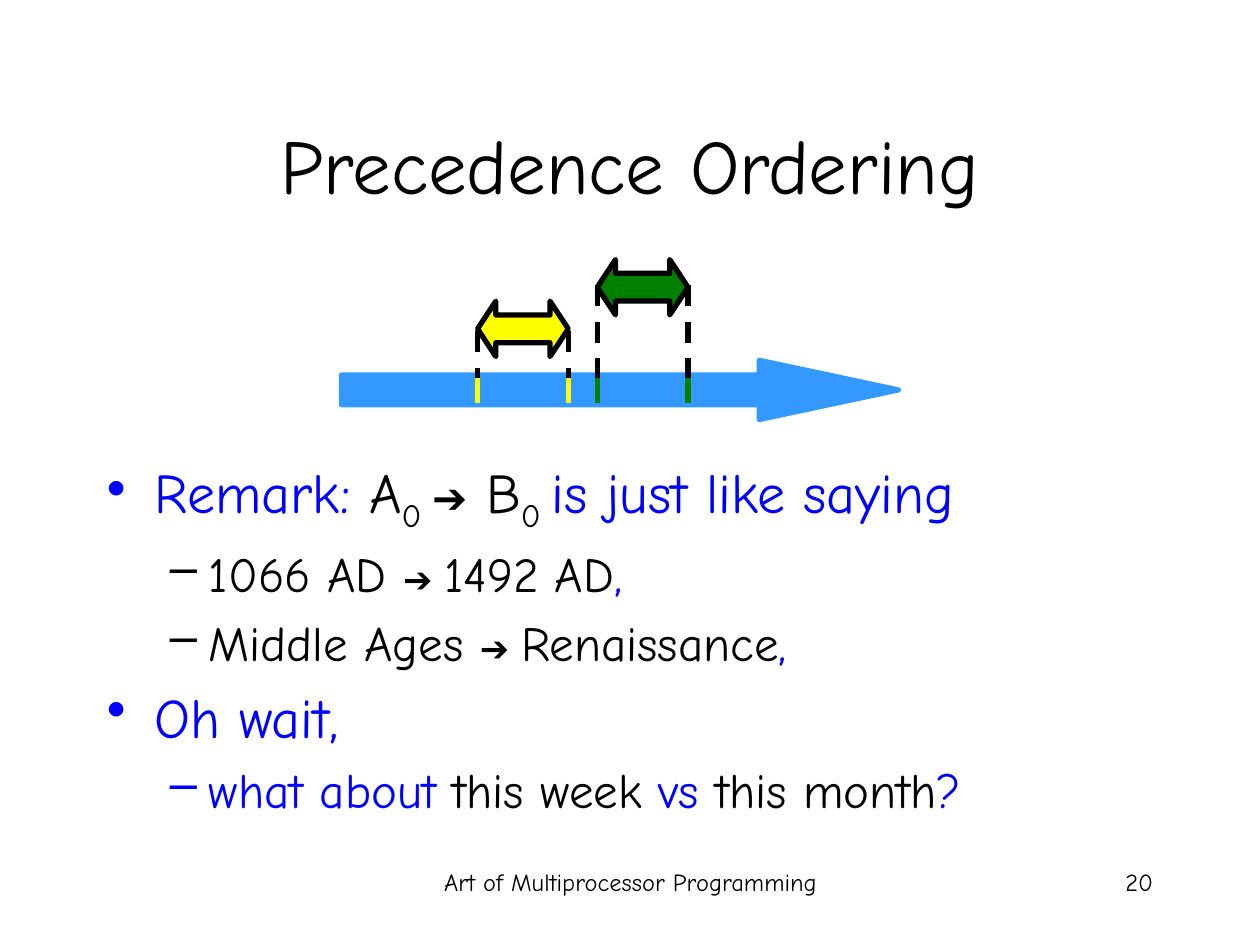
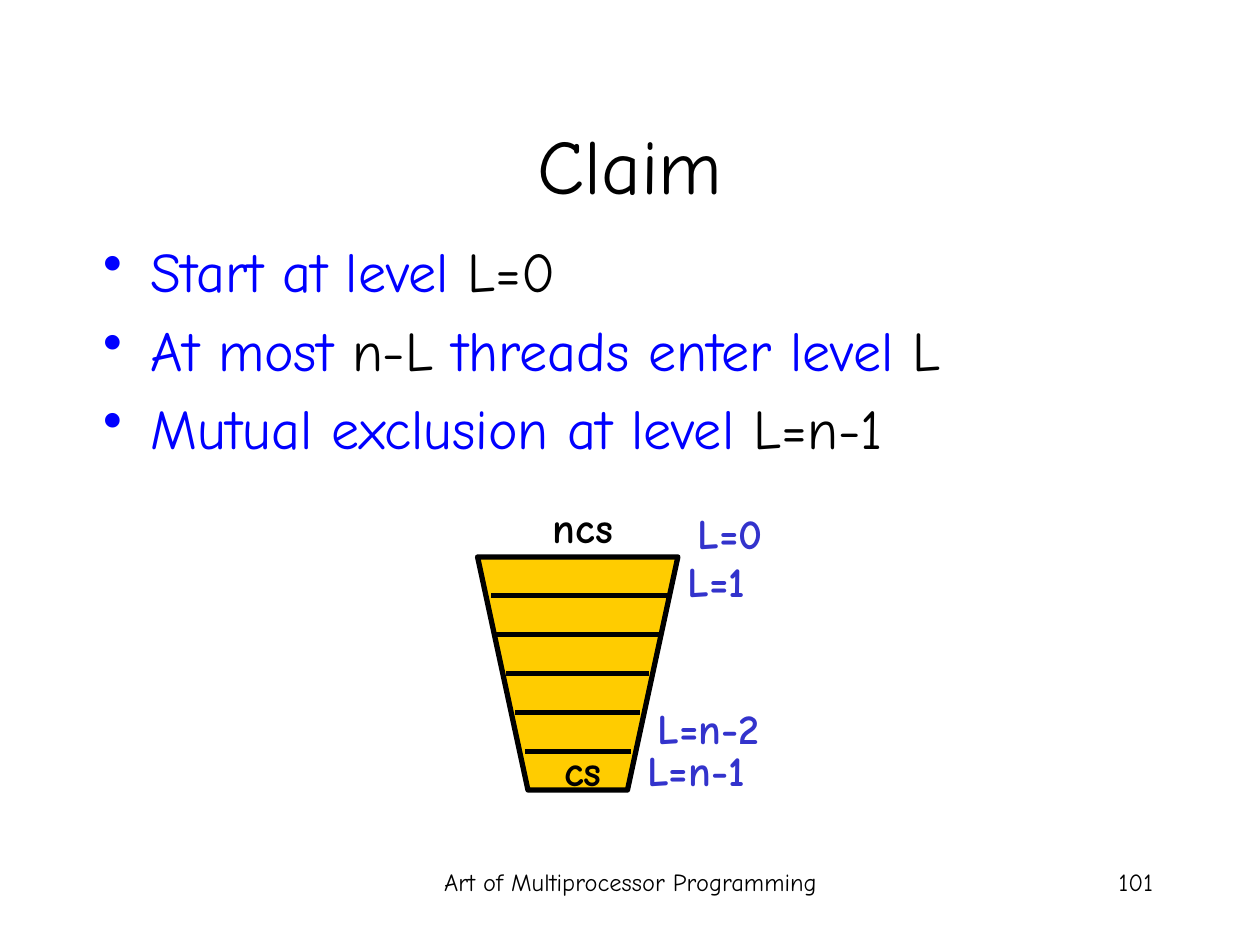
import pptx
import pptx.util
import pptx.dml.color
import pptx.enum.dml
import pptx.enum.shapes
import pptx.enum.text
import lxml.etree
from pptx.oxml.ns import qn

BLACK, BLUE, INDIGO = "000000", "0000FF", "3333CC"
SKY, YELLOW, GREEN, GOLD = "3399FF", "FFFF00", "008000", "FFCC00"
FONT = "Comic Neue"
LEFT, CENTER, RIGHT = (pptx.enum.text.PP_ALIGN.LEFT, pptx.enum.text.PP_ALIGN.CENTER,
                       pptx.enum.text.PP_ALIGN.RIGHT)
SHAPES = pptx.enum.shapes.MSO_SHAPE
colour = pptx.dml.color.RGBColor.from_string

deck = pptx.Presentation()
deck.slide_width = pptx.util.Inches(10)
deck.slide_height = pptx.util.Inches(7.5)
COL = deck.slide_width / 10
ROW = deck.slide_height / 7.5
LEVELS = [("•", 0.38, 0.38, 32), ("–", 0.81, 0.31, 28)]


def add_text(slide, box, paragraphs, size=None, align=LEFT, wrap=True, bold=False, middle=False):
    left, top, width, height = box
    frame = slide.shapes.add_textbox(int(left * COL), int(top * ROW),
                                     int(width * COL), int(height * ROW)).text_frame
    frame.word_wrap = wrap
    if middle:
        frame.vertical_anchor = pptx.enum.text.MSO_ANCHOR.MIDDLE
    for number, (level, runs) in enumerate(paragraphs):
        paragraph = frame.paragraphs[0] if number == 0 else frame.add_paragraph()
        paragraph.alignment = align
        text_size = size
        if level is not None:
            bullet, margin, hang, text_size = LEVELS[level]
            paragraph.level = level
            properties = paragraph._p.get_or_add_pPr()
            properties.set("marL", str(int(margin * COL)))
            properties.set("indent", str(int(-hang * COL)))
            if number:
                paragraph.space_before = pptx.util.Pt(0.2 * text_size)
            lxml.etree.SubElement(properties, qn("a:buChar")).set("char", bullet)
        paragraph.font.name = FONT
        paragraph.font.bold = bold
        paragraph.font.size = pptx.util.Pt(text_size)
        for words, ink, *special in runs:
            run = paragraph.add_run()
            run.text = words
            run.font.color.rgb = colour(ink)
            if special == ["sub"]:
                run.font._element.set("baseline", "-25000")
            elif special:
                run.font.size = pptx.util.Pt(special[0])


def add_line(slide, start, end, ink, dashed=False):
    line = slide.shapes.add_connector(pptx.enum.shapes.MSO_CONNECTOR.STRAIGHT,
                                      int(start[0] * COL), int(start[1] * ROW),
                                      int(end[0] * COL), int(end[1] * ROW))
    line.line.color.rgb = colour(ink)
    line.line.width = pptx.util.Pt(3)
    if dashed:
        line.line.dash_style = pptx.enum.dml.MSO_LINE.DASH
    lxml.etree.SubElement(line._element.spPr, qn("a:effectLst"))


slides = []
for title, page in [("Precedence Ordering", "20"), ("Claim", "101")]:
    slide = deck.slides.add_slide(deck.slide_layouts[6])
    slides.append(slide)
    add_text(slide, (3.42, 6.83, 3.17, 0.5),
             [(None, [("Art of Multiprocessor Programming", BLACK)])], 14, CENTER)
    add_text(slide, (7.17, 6.83, 2.08, 0.5), [(None, [(page, BLACK)])], 14, RIGHT)
    add_text(slide, (0.75, 0.67, 8.5, 1.25), [(None, [(title, BLACK)])], 44, CENTER, middle=True)
precedence, claim = slides

arrows = [(SHAPES.RIGHT_ARROW, 2.71, 2.86, 4.42, 0.47, 2.35, SKY, SKY)]
intervals = [(3.79, 2.39, 2.63, 3.0, YELLOW), (4.74, 2.06, 2.26, 3.2, GREEN)]
SPAN, NOW, PAST = 0.72, 3.0, 3.2
for start, top, drop, floor, fill in intervals:
    arrows.append((SHAPES.LEFT_RIGHT_ARROW, start, top, SPAN, 0.44, 0.33, fill, BLACK))
for kind, left, top, width, height, head, fill, outline in arrows:
    arrow = precedence.shapes.add_shape(kind, int(left * COL), int(top * ROW),
                                        int(width * COL), int(height * ROW))
    arrow.adjustments[0] = 0.5
    arrow.adjustments[1] = head
    arrow.shadow.inherit = False
    arrow.fill.solid()
    arrow.fill.fore_color.rgb = colour(fill)
    arrow.line.color.rgb = colour(outline)
    arrow.line.width = pptx.util.Pt(3)
for start, top, drop, floor, fill in intervals:
    for moment in (start, start + SPAN):
        add_line(precedence, (moment, drop), (moment, floor), BLACK, dashed=True)
        add_line(precedence, (moment, NOW), (moment, PAST), fill)

add_text(precedence, (0.75, 3.58, 8.5, 3.08), [
    (0, [("Remark: ", BLUE), ("A", BLACK), ("0 ", BLACK, "sub"), ("➔", BLACK, 24),
         (" B", BLACK), ("0 ", BLACK, "sub"), ("is just like saying", BLUE)]),
    (1, [("1066 AD ", BLACK), ("➔ ", BLACK, 20), ("1492 AD", BLACK), (",", BLUE)]),
    (1, [("Middle Ages ", BLACK), ("➔ ", BLACK, 20), ("Renaissance", BLACK), (",", BLUE)]),
    (0, [("Oh wait,", BLUE)]),
    (1, [("what about ", BLUE), ("this week", BLACK), (" vs ", BLUE),
         ("this month", BLACK), ("?", BLUE)]),
])

add_text(claim, (0.72, 1.83, 8.5, 4.5), [
    (0, [("Start at level ", BLUE), ("L=0", BLACK)]),
    (0, [("At most ", BLUE), ("n-L", BLACK), (" threads enter level ", BLUE), ("L", BLACK)]),
    (0, [("Mutual exclusion at level ", BLUE), ("L=n-1", BLACK)]),
])

RIM_LEFT, RIM_RIGHT, RIM, BASE, STEPS = 3.79, 5.38, 4.42, 6.27, 6
outline = claim.shapes.build_freeform(int(RIM_LEFT * COL), int(RIM * ROW))
outline.add_line_segments([(int(x * COL), int(y * ROW)) for x, y in
                           [(4.19, BASE), (4.98, BASE), (RIM_RIGHT, RIM)]], close=True)
funnel = outline.convert_to_shape()
funnel.shadow.inherit = False
funnel.fill.solid()
funnel.fill.fore_color.rgb = colour(GOLD)
funnel.line.color.rgb = colour(BLACK)
funnel.line.width = pptx.util.Pt(3)
for step in range(1, STEPS):
    height = RIM + step * (BASE - RIM) / STEPS
    inset = step * 0.45 / STEPS
    add_line(claim, (max(RIM_LEFT + inset, 3.9), height), (RIM_RIGHT - inset, height), BLACK)

for label, left, top, width, ink in [
        ("ncs", 4.29, 3.93, 0.71, BLACK), ("cs", 4.38, 5.86, 0.53, BLACK),
        ("L=0", 5.44, 3.98, 0.79, INDIGO), ("L=1", 5.36, 4.36, 0.79, INDIGO),
        ("L=n-2", 5.12, 5.53, 1.17, INDIGO), ("L=n-1", 5.04, 5.86, 1.17, INDIGO)]:
    add_text(claim, (left, top, width, 0.5), [(None, [(label, ink)])], 24, wrap=False, bold=True)

deck.save("out.pptx")
